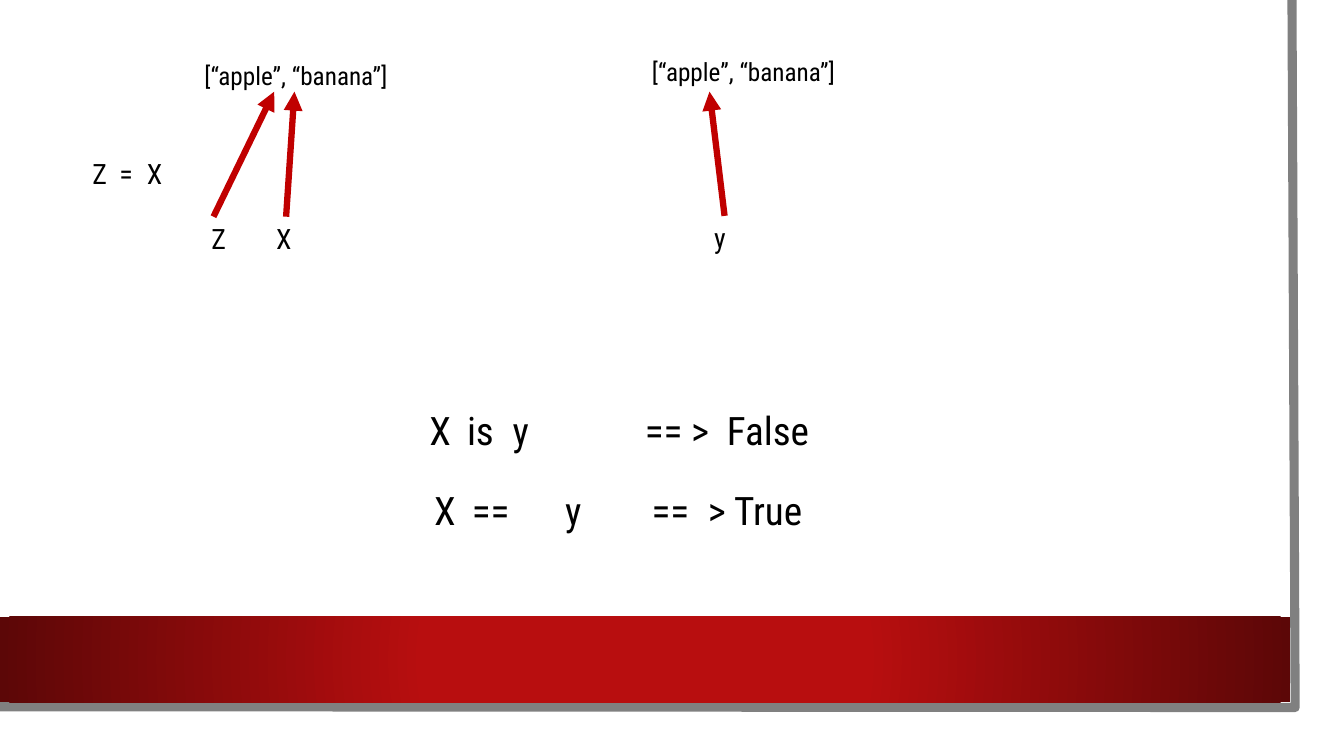
from pptx import Presentation as Deck
from pptx.dml.color import RGBColor as Color
from pptx.enum.shapes import MSO_CONNECTOR as Link, MSO_SHAPE as Form
from pptx.enum.text import MSO_AUTO_SIZE as Fit
from pptx.oxml import parse_xml as make
from pptx.oxml.ns import nsdecls
from pptx.util import Cm, Pt
from lxml.etree import SubElement as Sub

HUES = {"paper": "FFFFFF", "edge": "808080", "ink": "000000",
        "arrow": "C00000", "red": "B80E0F", "dark": "5C0707"}
NS = "{http://schemas.openxmlformats.org/drawingml/2006/main}"


class Page:
    font = "Roboto Condensed"

    def __init__(self, deck):
        self.slide = deck.slides.add_slide(deck.slide_layouts[6])
        self.shapes = self.slide.shapes

    def hue(self, name):
        return Color.from_string(HUES[name])

    def panel(self, x, y, w, h, name):
        box = self.shapes.add_shape(Form.RECTANGLE, Cm(x), Cm(y), Cm(w), Cm(h))
        box.shadow.inherit = False
        box.fill.solid()
        box.fill.fore_color.rgb = self.hue(name)
        box.line.fill.background()
        return box

    def band(self, x, y, w, h, inner, outer, start):
        box = self.panel(x, y, w, h, inner)
        grad = make(
            f'<a:gradFill {nsdecls("a")} rotWithShape="1"><a:gsLst>'
            f'<a:gs pos="{start * 1000}"><a:srgbClr val="{HUES[inner]}"/></a:gs>'
            f'<a:gs pos="100000"><a:srgbClr val="{HUES[outer]}"/></a:gs></a:gsLst>'
            '<a:path path="circle"><a:fillToRect l="50000" t="50000" '
            'r="50000" b="50000"/></a:path></a:gradFill>')
        props = box.fill._xPr
        props.replace(props.find(NS + "solidFill"), grad)

    def edge(self, points, width, name):
        first, *rest = [(Cm(x), Cm(y)) for x, y in points]
        pen = self.shapes.build_freeform(*first)
        pen.add_line_segments(rest, close=False)
        line = pen.convert_to_shape()
        line.shadow.inherit = False
        line.fill.background()
        line.line.color.rgb = self.hue(name)
        line.line.width = Pt(width)

    def text(self, x, y, w, h, words, size, tabs=()):
        box = self.shapes.add_textbox(Cm(x), Cm(y), Cm(w), Cm(h))
        frame = box.text_frame
        frame.word_wrap = True
        frame.auto_size = Fit.SHAPE_TO_FIT_TEXT
        frame.text = words
        para = frame.paragraphs[0]
        if tabs:
            stops = Sub(para._p.get_or_add_pPr(), NS + "tabLst")
            for stop in tabs:
                Sub(stops, NS + "tab", pos=str(Cm(stop)), algn="l")
        for run in para.runs:
            run.font.name = self.font
            run.font.size = Pt(size)
            run.font.color.rgb = self.hue("ink")

    def arrow(self, x1, y1, x2, y2):
        line = self.shapes.add_connector(
            Link.STRAIGHT, Cm(x1), Cm(y1), Cm(x2), Cm(y2))
        line.line.color.rgb = self.hue("arrow")
        line.line.width = Pt(4.5)
        Sub(line.line._get_or_add_ln(), NS + "tailEnd", type="triangle")
        Sub(line._element.spPr, NS + "effectLst")


def main():
    deck = Deck()
    deck.slide_width, deck.slide_height = Cm(33.87), Cm(19.05)
    page = Page(deck)

    page.panel(0, 0, 33.27, 18.47, "paper")
    page.edge([(32.56, 0), (32.64, 17.83), (-0.08, 17.81)], 6.5, "edge")
    page.band(0, 15.54, 32.51, 2.16, "red", "dark", 34)

    for x, y in [(4.9, 1.4), (16.18, 1.3)]:
        page.text(x, y, 5.66, 1.03, "[“apple”, “banana”]", 18)

    page.text(2.08, 3.81, 2.34, 1.11, "Z\t=\tX", 20, (0.68, 1.37))
    for name, x, y, w in [("Z", 5.08, 5.46, 0.58), ("X", 6.71, 5.46, 1.02),
                          ("y", 17.75, 5.44, 1.02)]:
        page.text(x, y, w, 1.11, name, 20)

    for x1, y1, x2 in [(5.38, 5.46, 6.91), (7.21, 5.46, 7.42),
                       (18.26, 5.44, 17.88)]:
        page.arrow(x1, y1, x2, 2.31)

    page.text(10.57, 10.11, 10.41, 1.45, "X\tis\ty\t== >\tFalse", 28,
              (0.95, 2.1, 5.43, 7.5))
    page.text(10.69, 12.14, 10.13, 1.45, "X\t==\ty\t==\t> True", 28,
              (0.95, 3.3, 5.48, 6.9))
    deck.save("out.pptx")


if __name__ == "__main__":
    main()
